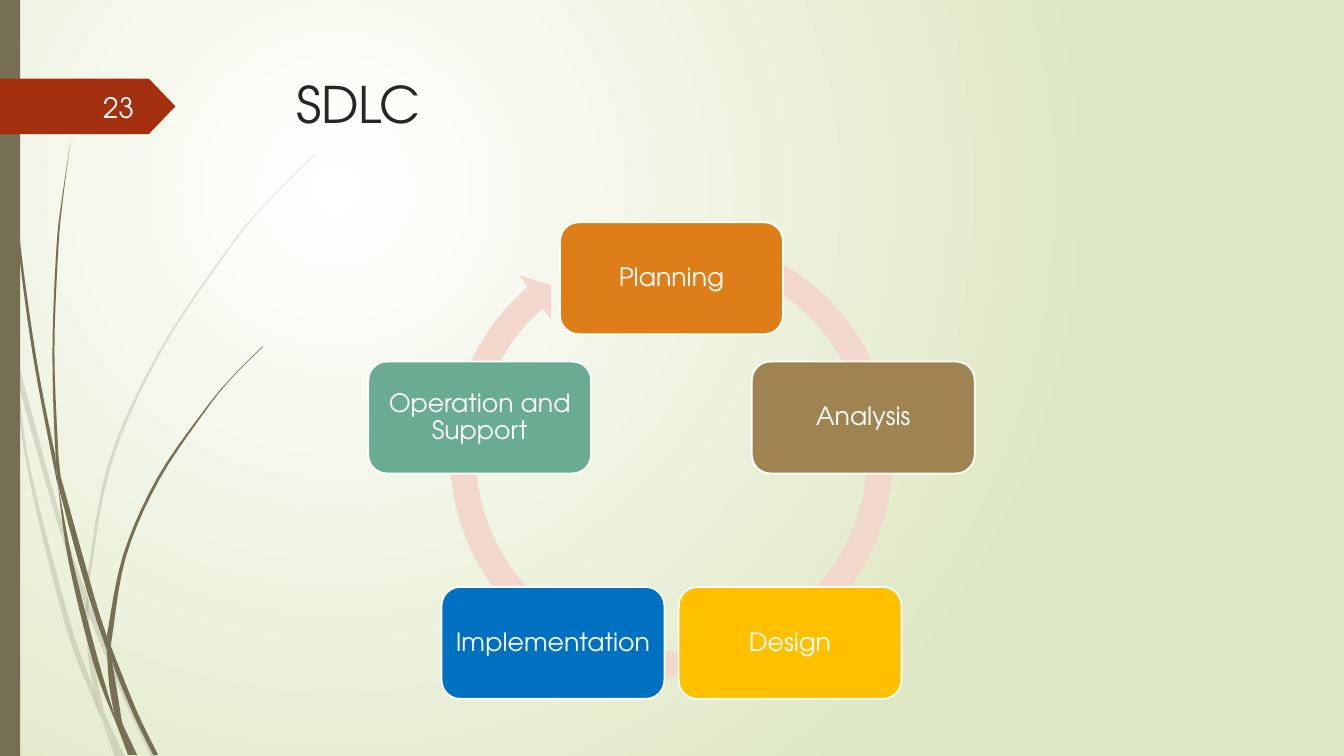
import math

import lxml.etree
import pptx
import pptx.dml.color
import pptx.enum.shapes
import pptx.enum.text
import pptx.oxml.ns
import pptx.util

TITLE = "SDLC"
PAGE_NUMBER = "23"
# Clockwise from the top of the ring: name, fill
STAGES = [
    ("Planning", "DE7E18"),
    ("Analysis", "9F8351"),
    ("Design", "FFC000"),
    ("Implementation", "0070C0"),
    ("Operation and Support", "6AAC91"),
]
THEME = {
    "font": "TeX Gyre Adventor",
    "title_size": 36, "number_size": 20, "stage_size": 18,
    "title": "262626", "number": "FEFFFF", "white": "FFFFFF",
    "glow": "FFFFFF", "ground": "DFE8C4",
    "stalk": "766F54", "tag": "A53010", "ring": "F2D8CC",
}

# Grass: every blade section has one edge out and one edge back, in inches
PALE_BLADES = [
    ([(0, 2.82), (0.09, 3.22), (0.11, 3.5)], [(0.1, 3.44), (0, 2.99)]),
    ([(0.14, 3.45), (0.17, 3.76), (0.58, 5.22), (0.84, 5.99)],
     [(0.85, 5.86), (0.62, 5.2), (0.14, 3.45)]),
    ([(0.88, 5.96), (0.88, 6.1), (1.23, 6.94), (1.5, 7.51)],
     [(1.55, 7.51), (1.27, 6.92), (0.92, 6.07), (0.88, 5.96)]),
    ([(1.05, 7.11), (1.19, 7.51)], [(1.24, 7.51), (1.05, 7.11)]),
    ([(0.11, 3.5), (0.28, 4.7), (0.65, 6.21), (0.92, 6.93), (1.01, 7.14)],
     [(0.93, 6.83), (0.7, 6.19), (0.31, 4.69), (0.17, 3.76), (0.11, 3.5)]),
    ([(0.84, 5.99), (0.87, 6.46), (0.93, 6.83), (1.05, 7.11)],
     [(1.03, 7.06), (0.91, 6.46), (0.88, 6.1), (0.84, 5.99)]),
    ([(3.12, 1.53), (2.68, 1.97), (2.28, 2.44), (1.58, 3.48), (1.07, 4.61), (0.85, 5.84)],
     [(0.88, 5.96), (0.88, 5.84), (1.1, 4.62), (1.6, 3.49), (2.29, 2.45), (2.68, 1.98),
      (3.12, 1.54)]),
    ([(1.01, 7.14), (1.14, 7.51)], [(1.19, 7.51), (1.01, 7.14)]),
    ([(0.85, 5.86), (0.84, 5.99), (0.88, 6.1)], [(0.88, 5.96), (0.85, 5.86)]),
    ([(0.93, 6.83), (0.99, 7.07), (1.19, 7.51)], [(1.05, 7.11), (0.96, 6.92)]),
]
DARK_BLADES = [
    ([(0.03, 0), (0.04, 0.48), (0.07, 1.1), (0.17, 2.33), (0.33, 3.55), (0.57, 4.81)],
     [(0.55, 4.53), (0.36, 3.55), (0.19, 2.32), (0.08, 1.09), (0.05, 0.48), (0.04, 0)]),
    ([(0.6, 4.72), (0.64, 5.05), (0.88, 5.92), (1.06, 6.45)],
     [(1.06, 6.31), (0.93, 5.9), (0.6, 4.72)]),
    ([(1.1, 6.41), (1.11, 6.56), (1.32, 7.08), (1.52, 7.49)],
     [(1.57, 7.49), (1.36, 7.06), (1.1, 6.41)]),
    ([(0.57, 4.77), (0.68, 5.57), (0.93, 6.59), (1.17, 7.22)],
     [(1.16, 7.17), (0.98, 6.57), (0.72, 5.56), (0.57, 4.77)]),
    ([(0.7, 1.41), (0.62, 1.93), (0.56, 2.45), (0.52, 3.49), (0.55, 4.49), (0.6, 4.72)],
     [(0.58, 4.53), (0.54, 3.49), (0.58, 2.45), (0.63, 1.93), (0.7, 1.41)]),
    ([(1.22, 7.19), (1.33, 7.49)], [(1.36, 7.49), (1.22, 7.19)]),
    ([(0.55, 4.49), (0.57, 4.77), (0.64, 5.05)], [(0.6, 4.72), (0.55, 4.49)]),
    ([(2.6, 3.44), (2.31, 3.73), (2.04, 4.05), (1.56, 4.74), (1.22, 5.51), (1.06, 6.31)],
     [(1.1, 6.41), (1.11, 6.33), (1.25, 5.52), (1.58, 4.76), (2.05, 4.06), (2.31, 3.74),
      (2.61, 3.44)]),
    ([(1.17, 7.22), (1.27, 7.49)], [(1.31, 7.49), (1.17, 7.22)]),
    ([(1.06, 6.45), (1.1, 6.91), (1.22, 7.19)],
     [(1.21, 7.16), (1.11, 6.56), (1.06, 6.45)]),
    ([(1.06, 6.31), (1.06, 6.45), (1.11, 6.56)], [(1.1, 6.41), (1.06, 6.31)]),
    ([(1.1, 6.91), (1.17, 7.22), (1.3, 7.49)], [(1.33, 7.49), (1.22, 7.19), (1.1, 6.91)]),
]

RING_BOX = (4.32, 2.18, 4.68, 4.68)
RING_ADJUSTMENTS = (0.055, 3.307, 137.547, 173.989, 0.058)
CYCLE_CENTER = (6.66, 4.76)
CYCLE_RADIUS = 2
STAGE_SIZE = (2.21, 1.11)
CURVE_STEPS = 5

Inches = pptx.util.Inches
SHAPES = pptx.enum.shapes.MSO_SHAPE
ANCHOR = pptx.enum.text.MSO_ANCHOR
ALIGN = pptx.enum.text.PP_ALIGN


def rgb(value):
    return pptx.dml.color.RGBColor.from_string(value)


def paint(shape, fill, line=None, opacity=None):
    shape.shadow.inherit = False
    shape.fill.solid()
    shape.fill.fore_color.rgb = rgb(fill)
    if opacity is not None:
        color = shape.element.spPr.find(".//" + pptx.oxml.ns.qn("a:srgbClr"))
        alpha = lxml.etree.SubElement(color, pptx.oxml.ns.qn("a:alpha"))
        alpha.set("val", str(opacity * 1000))
    if line:
        shape.line.color.rgb = rgb(line)
        shape.line.width = pptx.util.Pt(1.25)
    else:
        shape.line.fill.background()


def add_preset(page, kind, box, fill, line=None):
    shape = page.shapes.add_shape(kind, *map(Inches, box))
    paint(shape, fill, line)
    return shape


def write(shape, text, size, color, align, anchor):
    frame = shape.text_frame
    frame.word_wrap = True
    frame.vertical_anchor = anchor
    para = frame.paragraphs[0]
    para.alignment = align
    span = para.add_run()
    span.text = text
    span.font.name = THEME["font"]
    span.font.size = pptx.util.Pt(size)
    span.font.color.rgb = rgb(color)
    return para


def smooth(edge):
    """Points of a Catmull-Rom curve through the edge."""
    padded = [edge[0], *edge, edge[-1]]
    points = [edge[0]]
    for a, b, c, d in zip(padded, padded[1:], padded[2:], padded[3:]):
        for step in range(1, CURVE_STEPS + 1):
            t = step / CURVE_STEPS
            points.append(tuple(
                q + t * (r - p) / 2 + t * t * (p - 2.5 * q + 2 * r - s / 2)
                + t ** 3 * (3 * q - p - 3 * r + s) / 2
                for p, q, r, s in zip(a, b, c, d)))
    return points


def add_grass(page, blades, opacity=None):
    group = page.shapes.add_group_shape()
    for edge_out, edge_back in blades:
        outline = [(Inches(x), Inches(y)) for x, y in smooth(edge_out) + smooth(edge_back)]
        builder = group.shapes.build_freeform(*outline[0])
        builder.add_line_segments(outline[1:], close=True)
        paint(builder.convert_to_shape(), THEME["stalk"], opacity=opacity)


def set_background(page):
    """Radial glow spreading from the upper left."""
    fill = page.background.fill
    fill.gradient()
    for stop, position, color in zip(fill.gradient_stops, (0, 1), ("glow", "ground")):
        stop.position = position
        stop.color.rgb = rgb(THEME[color])
    qn = pptx.oxml.ns.qn
    linear = page.element.find(".//" + qn("a:lin"))
    radial = lxml.etree.Element(qn("a:path"), path="circle")
    lxml.etree.SubElement(radial, qn("a:fillToRect"),
                          l="50000", t="50000", r="100000", b="100000")
    linear.getparent().replace(linear, radial)


def add_cycle(page):
    ring = add_preset(page, SHAPES.CIRCULAR_ARROW, RING_BOX, THEME["ring"])
    for index, value in enumerate(RING_ADJUSTMENTS):
        ring.adjustments[index] = value
    width, height = STAGE_SIZE
    for index, (name, fill) in enumerate(STAGES):
        angle = math.tau * index / len(STAGES)
        left = CYCLE_CENTER[0] + CYCLE_RADIUS * math.sin(angle) - width / 2
        top = CYCLE_CENTER[1] - CYCLE_RADIUS * math.cos(angle) - height / 2
        stage = add_preset(page, SHAPES.ROUNDED_RECTANGLE, (left, top, width, height),
                           fill, THEME["white"])
        frame = stage.text_frame
        frame.margin_left = frame.margin_right = Inches(0.07)
        frame.margin_top = frame.margin_bottom = Inches(0.07)
        para = write(stage, name, THEME["stage_size"], THEME["white"],
                     ALIGN.CENTER, ANCHOR.MIDDLE)
        para.line_spacing = 0.9


def main():
    deck = pptx.Presentation()
    deck.slide_width, deck.slide_height = Inches(13.33), Inches(7.5)
    page = deck.slides.add_slide(deck.slide_layouts[6])
    set_background(page)
    add_grass(page, PALE_BLADES, opacity=20)
    add_grass(page, DARK_BLADES)
    add_preset(page, SHAPES.RECTANGLE, (0, 0, 0.2, 7.5), THEME["stalk"])
    tag = add_preset(page, SHAPES.PENTAGON, (0, 0.78, 1.74, 0.55), THEME["tag"])
    tag.adjustments[0] = 0.48
    title = page.shapes.add_textbox(*map(Inches, (2.84, 0.68, 9.75, 1.4)))
    write(title, TITLE, THEME["title_size"], THEME["title"], ALIGN.LEFT, ANCHOR.TOP)
    add_cycle(page)
    number = page.shapes.add_textbox(*map(Inches, (0.58, 0.86, 0.85, 0.4)))
    write(number, PAGE_NUMBER, THEME["number_size"], THEME["number"],
          ALIGN.RIGHT, ANCHOR.MIDDLE)
    deck.save("out.pptx")


if __name__ == "__main__":
    main()
